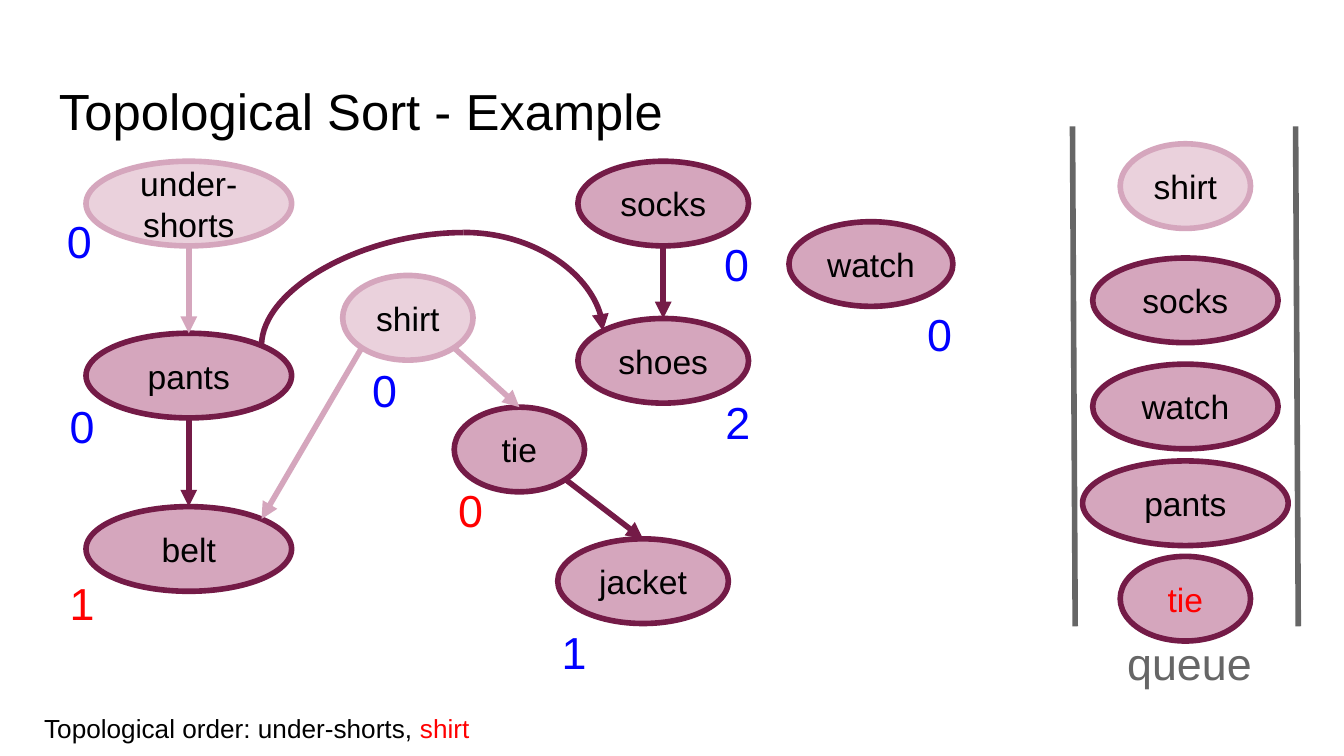
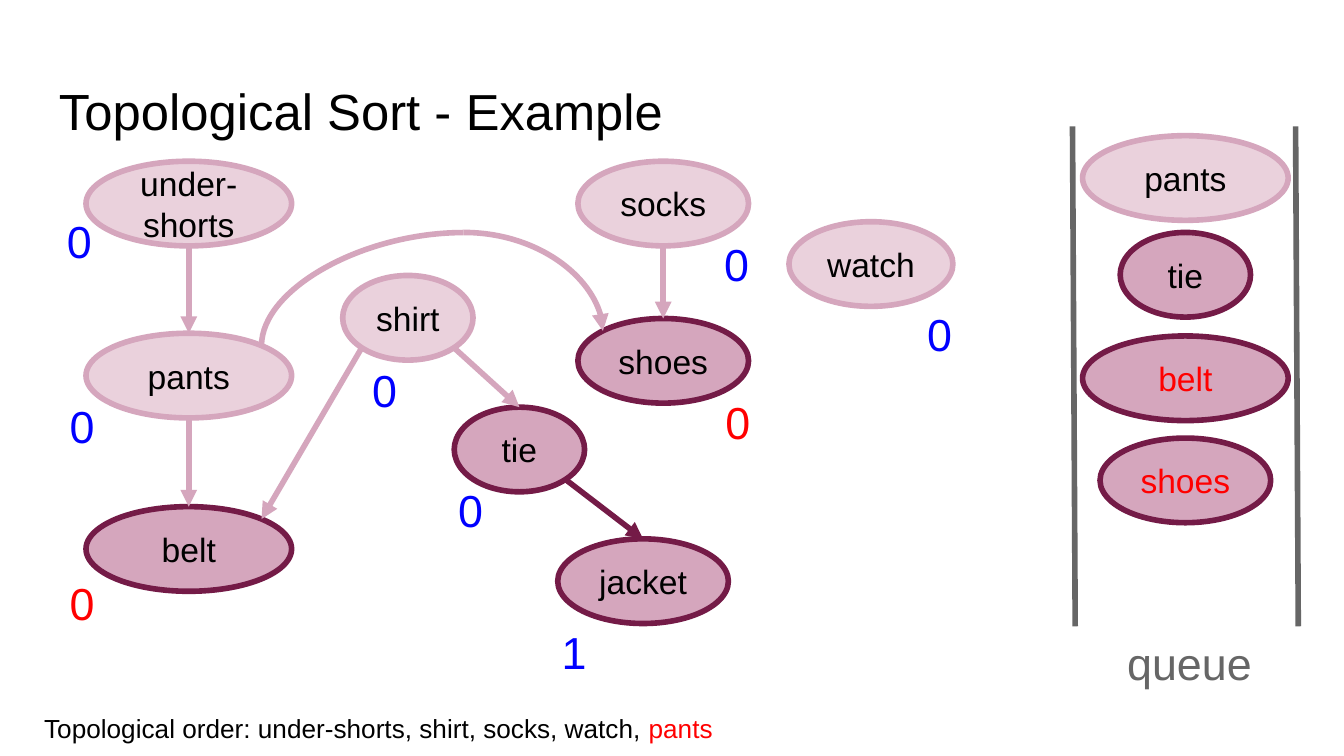
import math
from dataclasses import dataclass
from typing import NamedTuple

import lxml.etree
import pptx
import pptx.dml.color
import pptx.enum.shapes
import pptx.enum.text
import pptx.oxml.ns
import pptx.util
from pptx.shapes.autoshape import Shape
from pptx.shapes.connector import Connector
from pptx.slide import Slide

EMU_PER_PX = 9144  # 100 px to the inch
SLIDE_WIDTH = 1000
FONT = "Arial"
COLORS = {
    "ink": "000000",
    "fresh": "FF0000",
    "count": "0000FF",
    "queue": "666666",
    "active": "741B47",
    "active_fill": "D5A6BD",
    "faded": "D5A6BD",
    "faded_fill": "EAD1DC",
}
OVAL_HEIGHT = 63
QUEUE_CENTER = 882
QUEUE_WIDTHS = {"socks": 138, "watch": 138}
RAIL_LEFTS = (798, 964)
CURVE_CREST = (345, 173)

# Connection sites of an oval, counted anticlockwise from the top
TOP, TOP_LEFT, BOTTOM_LEFT, BOTTOM, BOTTOM_RIGHT, TOP_RIGHT = 0, 1, 3, 4, 5, 7

ALIGN = pptx.enum.text.PP_ALIGN
CONNECTOR = pptx.enum.shapes.MSO_CONNECTOR
qn = pptx.oxml.ns.qn


class Garment(NamedTuple):
    left: int
    top: int
    width: int
    count_left: int
    count_top: int


class Edge(NamedTuple):
    source: str
    source_site: int
    target: str
    target_site: int


class Run(NamedTuple):
    text: str
    color: str
    size: float


@dataclass(frozen=True)
class Step:
    """State of the sort: output so far, queue with tops, in-degrees and what just changed."""

    order: tuple[str, ...]
    queue: dict[str, int]
    enqueued: set[str]
    counts: dict[str, int]
    lowered: set[str]


GARMENTS = {
    "under-shorts": Garment(64, 120, 153, 40, 149),
    "belt": Garment(64, 377, 153, 42, 418),
    "pants": Garment(64, 248, 153, 42, 287),
    "jacket": Garment(415, 401, 127, 408, 455),
    "tie": Garment(338, 303, 97, 331, 349),
    "shirt": Garment(255, 205, 97, 267, 260),
    "shoes": Garment(430, 237, 127, 530, 284),
    "socks": Garment(430, 120, 127, 529, 166),
    "watch": Garment(587, 165, 122, 680, 218),
}
EDGES = (
    Edge("under-shorts", BOTTOM, "pants", TOP),
    Edge("pants", BOTTOM, "belt", TOP),
    Edge("shirt", BOTTOM_RIGHT, "tie", TOP),
    Edge("tie", BOTTOM_RIGHT, "jacket", TOP),
    Edge("socks", BOTTOM, "shoes", TOP),
    Edge("shirt", BOTTOM_LEFT, "belt", TOP_RIGHT),
)
STEPS = (
    Step(
        order=("under-shorts", "shirt"),
        queue={"shirt": 107, "socks": 192, "watch": 271, "pants": 343, "tie": 414},
        enqueued={"tie"},
        counts={"belt": 1, "jacket": 1, "shoes": 2},
        lowered={"belt", "tie"},
    ),
    Step(
        order=("under-shorts", "shirt", "socks", "watch", "pants"),
        queue={"pants": 101, "tie": 173, "belt": 250, "shoes": 326},
        enqueued={"belt", "shoes"},
        counts={"jacket": 1},
        lowered={"belt", "shoes"},
    ),
)


def px(length: float) -> pptx.util.Emu:
    return pptx.util.Emu(round(length * EMU_PER_PX))


def rgb(color: str) -> pptx.dml.color.RGBColor:
    return pptx.dml.color.RGBColor.from_string(COLORS[color])


def set_margins(shape: Shape) -> None:
    frame = shape.text_frame
    frame.word_wrap = True
    frame.margin_left = frame.margin_right = px(10)
    frame.margin_top = frame.margin_bottom = px(10)


def add_label(slide: Slide, left: int, top: int, width: int, height: int,
              runs: list[Run], align: ALIGN = ALIGN.LEFT, grow: bool = True) -> None:
    label = slide.shapes.add_textbox(px(left), px(top), px(width), px(height))
    set_margins(label)
    if grow:
        label.text_frame.auto_size = pptx.enum.text.MSO_AUTO_SIZE.SHAPE_TO_FIT_TEXT
    paragraph = label.text_frame.paragraphs[0]
    paragraph.alignment = align
    paragraph.font.name = FONT
    for part in runs:
        run = paragraph.add_run()
        run.text = part.text
        run.font.size = pptx.util.Pt(part.size)
        run.font.color.rgb = rgb(part.color)


def add_oval(slide: Slide, name: str, left: float, top: int, width: int,
             state: str, text_color: str = "ink") -> Shape:
    oval = slide.shapes.add_shape(
        pptx.enum.shapes.MSO_SHAPE.OVAL, px(left), px(top), px(width), px(OVAL_HEIGHT))
    oval.shadow.inherit = False
    oval.fill.solid()
    oval.fill.fore_color.rgb = rgb(f"{state}_fill")
    oval.line.color.rgb = rgb(state)
    oval.line.width = pptx.util.Pt(3)
    set_margins(oval)
    frame = oval.text_frame
    frame.vertical_anchor = pptx.enum.text.MSO_ANCHOR.MIDDLE
    frame.text = name.replace("-", "-\n")
    for paragraph in frame.paragraphs:
        paragraph.alignment = ALIGN.CENTER
        paragraph.font.name = FONT
        paragraph.font.size = pptx.util.Pt(18)
        paragraph.font.color.rgb = rgb(text_color)
    return oval


def site_position(name: str, site: int) -> tuple[float, float]:
    garment = GARMENTS[name]
    angle = site * math.pi / 4
    return (garment.left + garment.width / 2 * (1 - math.sin(angle)),
            garment.top + OVAL_HEIGHT / 2 * (1 - math.cos(angle)))


def glue(connector: Connector, end: str, oval: Shape, site: int) -> None:
    """Join one end (stCxn or endCxn) to any of the eight sites of an oval."""
    properties = connector._element.nvCxnSpPr.cNvCxnSpPr
    lxml.etree.SubElement(
        properties, qn(f"a:{end}"), id=str(oval.shape_id), idx=str(site))


def add_line(slide: Slide, start: tuple[float, float], finish: tuple[float, float],
             color: str, arrow: bool = False,
             kind: CONNECTOR = CONNECTOR.STRAIGHT) -> Connector:
    line = slide.shapes.add_connector(kind, *map(px, start + finish))
    line.line.color.rgb = rgb(color)
    line.line.width = pptx.util.Pt(3)
    properties = line._element.spPr
    if kind == CONNECTOR.CURVE:
        properties.find(qn("a:prstGeom")).set("prst", "curvedConnector2")
    if arrow:
        lxml.etree.SubElement(properties.find(qn("a:ln")), qn("a:tailEnd"), type="triangle")
    lxml.etree.SubElement(properties, qn("a:effectLst"))
    return line


def add_arch(slide: Slide, ovals: dict[str, Shape], color: str) -> None:
    """Curve from pants over the shirt to shoes, in two quarter arcs."""
    start_x, start_y = site_position("pants", TOP_RIGHT)
    crest_x, crest_y = CURVE_CREST
    center_x, center_y = (start_x + crest_x) / 2, (start_y + crest_y) / 2
    half_run, half_rise = (crest_x - start_x) / 2, (start_y - crest_y) / 2
    # The rising arc is laid out before its quarter turn, so run and rise swap.
    rising = add_line(slide, (center_x - half_rise, center_y - half_run),
                      (center_x + half_rise, center_y + half_run), color,
                      kind=CONNECTOR.CURVE)
    rising._element.spPr.find(qn("a:xfrm")).set("rot", str(270 * 60000))
    glue(rising, "stCxn", ovals["pants"], TOP_RIGHT)
    falling = add_line(slide, CURVE_CREST, site_position("shoes", TOP_LEFT), color,
                       arrow=True, kind=CONNECTOR.CURVE)
    glue(falling, "endCxn", ovals["shoes"], TOP_LEFT)


def draw_graph(slide: Slide, step: Step) -> None:
    states = {name: "faded" if name in step.order else "active" for name in GARMENTS}
    ovals = {name: add_oval(slide, name, garment.left, garment.top, garment.width, states[name])
             for name, garment in GARMENTS.items()}
    for edge in EDGES:
        arrow = add_line(slide, site_position(edge.source, edge.source_site),
                         site_position(edge.target, edge.target_site),
                         states[edge.source], arrow=True)
        glue(arrow, "stCxn", ovals[edge.source], edge.source_site)
        glue(arrow, "endCxn", ovals[edge.target], edge.target_site)
    add_arch(slide, ovals, states["pants"])
    for name, garment in GARMENTS.items():
        color = "fresh" if name in step.lowered else "count"
        add_label(slide, garment.count_left, garment.count_top, 46, 61,
                  [Run(str(step.counts.get(name, 0)), color, 24)])


def draw_queue(slide: Slide, step: Step) -> None:
    for left in RAIL_LEFTS:
        add_line(slide, (left, 94), (left + 2, 466), "queue")
    for name, top in step.queue.items():
        width = QUEUE_WIDTHS.get(name, GARMENTS[name].width)
        add_oval(slide, name, QUEUE_CENTER - width / 2, top, width,
                 "faded" if name in step.order else "active",
                 "fresh" if name in step.enqueued else "ink")


def draw_step(slide: Slide, step: Step) -> None:
    add_label(slide, 801, 463, 168, 61, [Run("queue", "queue", 24)], ALIGN.CENTER)
    add_label(slide, 34, 49, 932, 63,
              [Run("Topological Sort - ", "ink", 27.2), Run("Example", "ink", 27.1)], grow=False)
    draw_graph(slide, step)
    *earlier, latest = step.order
    add_label(slide, 23, 520, 942, 44,
              [Run(f"Topological order: {', '.join(earlier)}, ", "ink", 14),
               Run(latest, "fresh", 14)])
    draw_queue(slide, step)


def main() -> None:
    deck = pptx.Presentation()
    deck.slide_width = px(SLIDE_WIDTH)
    deck.slide_height = px(SLIDE_WIDTH * 9 / 16)
    blank = deck.slide_layouts[6]
    for step in STEPS:
        draw_step(deck.slides.add_slide(blank), step)
    deck.save("out.pptx")


if __name__ == "__main__":
    main()
